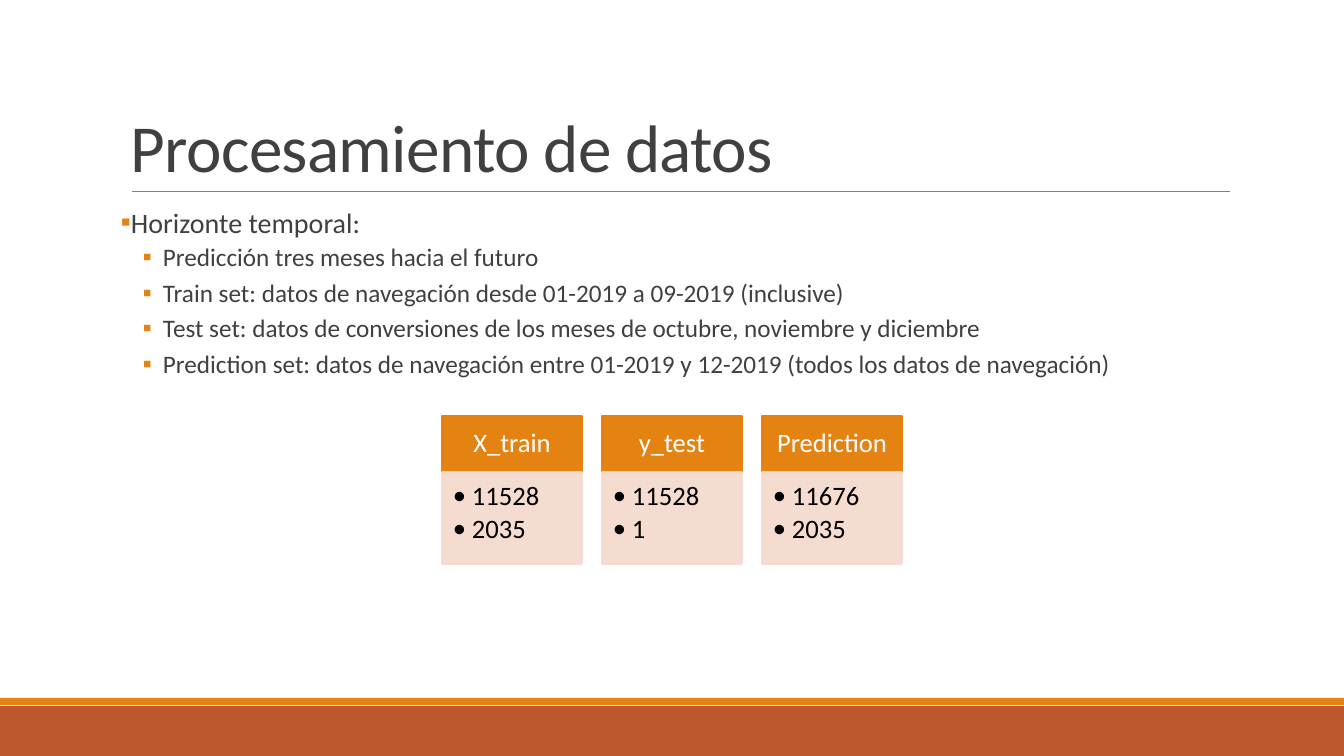
from dataclasses import dataclass

from lxml.etree import SubElement
from pptx import Presentation
from pptx.dml.color import RGBColor
from pptx.enum.shapes import MSO_CONNECTOR as Connector, MSO_SHAPE as Preset
from pptx.enum.text import MSO_ANCHOR as Anchor, MSO_AUTO_SIZE as AutoSize, PP_ALIGN as Align
from pptx.oxml.ns import qn
from pptx.util import Pt

EMU_PER_PX = 914400 / 100.8


@dataclass(frozen=True)
class Theme:
    font: str = "Calibri"
    accent: str = "E48312"
    band: str = "BD582C"
    panel: str = "F5D9CC"
    rule: str = "808080"
    ink: str = "404040"
    black: str = "000000"
    white: str = "FFFFFF"
    title_size: int = 48
    lead_size: int = 20
    item_size: int = 18
    card_size: int = 19


THEME = Theme()


def px(value):
    return round(value * EMU_PER_PX)


def rgb(value):
    return RGBColor.from_string(value)


def write_text(frame, text, *, size, color, align=Align.LEFT, spacing=0.9, before=0, after=0,
               level=0, bullet=None, bullet_color=None, margin=0, hanging=0, tracking=None):
    paragraph = frame.add_paragraph() if frame.text else frame.paragraphs[0]
    paragraph.alignment = align
    paragraph.level = level
    paragraph.line_spacing = spacing
    paragraph.space_before = Pt(before)
    paragraph.space_after = Pt(after)
    run = paragraph.add_run()
    run.text = text
    run.font.name = THEME.font
    run.font.size = Pt(size)
    run.font.color.rgb = rgb(color)
    if tracking is not None:
        run.font._element.set("spc", str(tracking))
    if bullet:
        properties = paragraph._p.get_or_add_pPr()
        properties.set("marL", str(px(margin)))
        properties.set("indent", str(-px(hanging)))
        if bullet_color:
            holder = SubElement(properties, qn("a:buClr"))
            SubElement(holder, qn("a:srgbClr"), val=bullet_color)
        SubElement(properties, qn("a:buFont"), typeface=THEME.font)
        SubElement(properties, qn("a:buChar"), char=bullet)


class SlideBuilder:
    def __init__(self, presentation, theme):
        self.theme = theme
        self.slide = presentation.slides.add_slide(presentation.slide_layouts[5])

    def frame(self, shape, insets, anchor=Anchor.TOP):
        frame = shape.text_frame
        frame.word_wrap = True
        frame.auto_size = AutoSize.NONE
        frame.vertical_anchor = anchor
        frame.margin_left, frame.margin_top, frame.margin_right, frame.margin_bottom = map(px, insets)
        return frame

    def title(self, text, *box):
        shape = self.slide.shapes.title
        shape.left, shape.top, shape.width, shape.height = map(px, box)
        write_text(self.frame(shape, (10, 5, 10, 5), Anchor.BOTTOM), text,
                   size=self.theme.title_size, color=self.theme.ink, spacing=0.85, tracking=-50)

    def rectangle(self, *box, fill, outline=False, opacity=None):
        shape = self.slide.shapes.add_shape(Preset.RECTANGLE, *map(px, box))
        shape.shadow.inherit = False
        shape.fill.solid()
        shape.fill.fore_color.rgb = rgb(fill)
        if outline:
            shape.line.color.rgb = rgb(fill)
            shape.line.width = Pt(1.25)
        else:
            shape.line.fill.background()
        if opacity:
            for color in shape._element.spPr.iter(qn("a:srgbClr")):
                SubElement(color, qn("a:alpha"), val=str(opacity * 1000))
        return shape

    def rule(self, left, right, y):
        line = self.slide.shapes.add_connector(Connector.STRAIGHT, px(left), px(y), px(right), px(y))
        line.line.color.rgb = rgb(self.theme.rule)
        line.line.width = Pt(0.5)
        SubElement(line._element.spPr, qn("a:effectLst"))

    def outline_list(self, lead, items, *box):
        theme = self.theme
        frame = self.frame(self.slide.shapes.add_textbox(*map(px, box)), (0, 5, 0, 5))
        write_text(frame, lead, size=theme.lead_size, color=theme.ink, before=12, after=2,
                   bullet="▪", bullet_color=theme.accent, margin=10, hanging=10)
        for item in items:
            write_text(frame, item, size=theme.item_size, color=theme.ink, before=2, after=4,
                       level=1, bullet="▪", bullet_color=theme.accent, margin=42, hanging=20)

    def card(self, heading, values, left, top, width, head_height, body_height):
        theme = self.theme
        head = self.rectangle(left, top, width, head_height, fill=theme.accent, outline=True)
        write_text(self.frame(head, (10, 8, 10, 8), Anchor.MIDDLE), heading,
                   size=theme.card_size, color=theme.white, align=Align.CENTER)
        body = self.rectangle(left, top + head_height, width, body_height,
                              fill=theme.panel, outline=True, opacity=90)
        frame = self.frame(body, (11, 11, 15, 17))
        for value in values:
            write_text(frame, value, size=theme.card_size, color=theme.black, after=3,
                       level=1, bullet="•", margin=19, hanging=19)


def main():
    presentation = Presentation()
    presentation.slide_width, presentation.slide_height = px(1344), px(756)
    builder = SlideBuilder(presentation, THEME)

    builder.rectangle(0, 706, 1344, 50, fill=THEME.band)
    builder.rectangle(0, 698, 1344, 7, fill=THEME.accent)
    builder.rule(132, 1230, 191)
    builder.title("Procesamiento de datos", 121, 31, 1109, 160)
    builder.outline_list("Horizonte temporal:", [
        "Predicción tres meses hacia el futuro",
        "Train set: datos de navegación desde 01-2019 a 09-2019 (inclusive)",
        "Test set: datos de conversiones de los meses de octubre, noviembre y diciembre",
        "Prediction set: datos de navegación entre 01-2019 y 12-2019 (todos los datos de navegación)",
    ], 121, 204, 1109, 444)

    cards = [
        ("X_train", ["11528", "2035"]),
        ("y_test", ["11528", "1"]),
        ("Prediction", ["11676", "2035"]),
    ]
    for index, (heading, values) in enumerate(cards):
        builder.card(heading, values, 442 + 160 * index, 416, 140, 56, 92)

    presentation.save("out.pptx")


if __name__ == "__main__":
    main()
